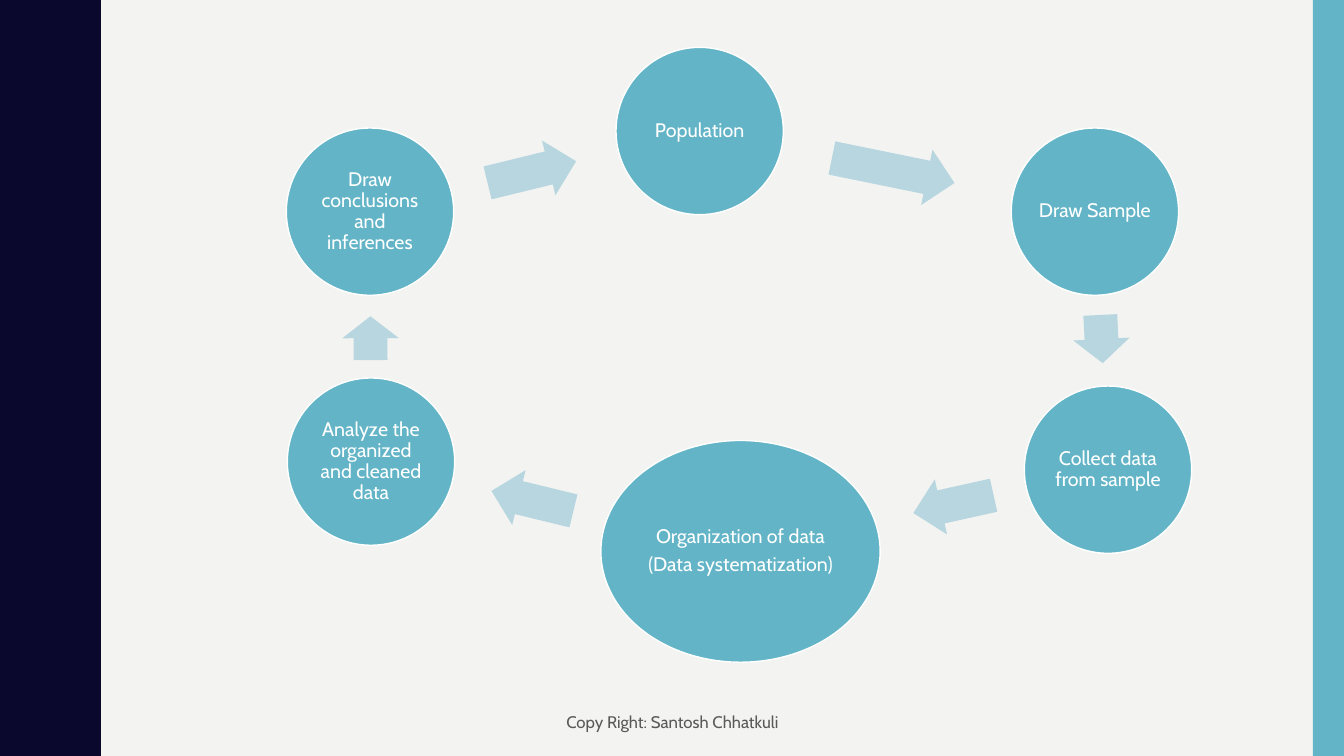
import math
from dataclasses import dataclass

import pptx
import pptx.util
from pptx.dml.color import RGBColor
from pptx.enum.shapes import MSO_SHAPE
from pptx.enum.text import MSO_ANCHOR, PP_ALIGN
from pptx.util import Inches


@dataclass(frozen=True)
class Theme:
    font: str = "Cabin"
    background: str = "F3F3F2"
    navy: str = "0B082E"
    teal: str = "62B4C6"
    pale_teal: str = "B7D6DF"
    white: str = "FFFFFF"
    grey: str = "595959"
    step_size: int = 14
    footer_size: int = 12


THEME = Theme()


def paint(shape, fill, line=None):
    shape.shadow.inherit = False
    shape.fill.solid()
    shape.fill.fore_color.rgb = RGBColor.from_string(fill)
    if line:
        shape.line.color.rgb = RGBColor.from_string(line)
        shape.line.width = pptx.util.Pt(1)
    else:
        shape.line.fill.background()


def write_centred(frame, lines, size, color):
    frame.word_wrap = True
    frame.vertical_anchor = MSO_ANCHOR.MIDDLE
    for index, line in enumerate(lines):
        paragraph = frame.paragraphs[0] if index == 0 else frame.add_paragraph()
        paragraph.alignment = PP_ALIGN.CENTER
        run = paragraph.add_run()
        run.text = line
        run.font.name = THEME.font
        run.font.size = pptx.util.Pt(size)
        run.font.color.rgb = RGBColor.from_string(color)


presentation = pptx.Presentation()
presentation.slide_width = Inches(13.33)
presentation.slide_height = Inches(7.5)
slide = presentation.slides.add_slide(presentation.slide_layouts[6])
slide.background.fill.solid()
slide.background.fill.fore_color.rgb = RGBColor.from_string(THEME.background)

# Wavy left edge: half a wave as (x, y), mirrored and repeated down the slide
WAVE_HEIGHT = 1.5
half_wave = [(0.78, 0), (0.78, 0.07), (0.79, 0.14), (0.8, 0.2), (0.81, 0.25),
             (0.83, 0.29), (0.85, 0.33), (0.87, 0.38), (0.89, 0.42), (0.91, 0.46),
             (0.93, 0.5), (0.95, 0.55), (0.96, 0.61), (0.97, 0.68), (0.97, 0.75)]
full_wave = half_wave + [(x, WAVE_HEIGHT - y) for x, y in reversed(half_wave[:-1])]
wave_edge = [(x, y + WAVE_HEIGHT * number) for number in range(5) for x, y in full_wave]
outline = slide.shapes.build_freeform(0, 0, scale=Inches(1))
outline.add_line_segments(wave_edge + [(0, 7.5)], close=True)
paint(outline.convert_to_shape(), THEME.navy)

right_band = slide.shapes.add_shape(
    MSO_SHAPE.RECTANGLE, Inches(13.02), 0, Inches(0.31), Inches(7.5))
paint(right_band, THEME.teal)

# Steps of the cycle, clockwise: left, top, width, height, lines
steps = [
    (6.11, 0.47, 1.66, 1.66, ["Population"]),
    (10.03, 1.27, 1.66, 1.66, ["Draw Sample"]),
    (10.16, 3.83, 1.66, 1.66, ["Collect data from sample"]),
    (5.96, 4.37, 2.77, 2.2, ["Organization of data", "(Data systematization)"]),
    (2.85, 3.75, 1.66, 1.66, ["Analyze the organized and cleaned data"]),
    (2.84, 1.27, 1.66, 1.66, ["Draw conclusions and inferences"]),
]
ARROW_HEIGHT = 0.56
ARROW_SHARE = 0.53    # arrow length as a share of the gap between two steps
ARROW_CENTRE = 0.482  # arrow centre as a share of the same gap

for step, following in zip(steps, steps[1:] + steps[:1]):
    left, top, width, height, lines = step
    circle = slide.shapes.add_shape(
        MSO_SHAPE.OVAL, Inches(left), Inches(top), Inches(width), Inches(height))
    paint(circle, THEME.teal, THEME.white)
    frame = circle.text_frame
    frame.margin_left = frame.margin_right = Inches(0.02)
    frame.margin_top = frame.margin_bottom = Inches(0.02)
    write_centred(frame, lines, THEME.step_size, THEME.white)
    for paragraph in frame.paragraphs:
        paragraph.line_spacing = 0.9
        paragraph.space_after = pptx.util.Pt(5)

    # The arrow lies on the line joining the two centres, between the two rims
    centre_x, centre_y = left + width / 2, top + height / 2
    run_x = following[0] + following[2] / 2 - centre_x
    run_y = following[1] + following[3] / 2 - centre_y
    angle = math.atan2(run_y, run_x)
    start_radius, end_radius = [
        w * h / 2 / math.hypot(h * math.cos(angle), w * math.sin(angle))
        for w, h in (step[2:4], following[2:4])]
    gap = math.hypot(run_x, run_y) - start_radius - end_radius
    reach = start_radius + ARROW_CENTRE * gap
    length = ARROW_SHARE * gap
    arrow = slide.shapes.add_shape(
        MSO_SHAPE.RIGHT_ARROW,
        Inches(centre_x + reach * math.cos(angle) - length / 2),
        Inches(centre_y + reach * math.sin(angle) - ARROW_HEIGHT / 2),
        Inches(length), Inches(ARROW_HEIGHT))
    arrow.rotation = math.degrees(angle) % 360
    arrow.adjustments[0] = 0.6
    arrow.adjustments[1] = 0.5
    paint(arrow, THEME.pale_teal)

copyright_line = slide.shapes.add_textbox(
    Inches(4.42), Inches(6.97), Inches(4.5), Inches(0.38))
write_centred(copyright_line.text_frame, ["Copy Right: Santosh Chhatkuli"],
              THEME.footer_size, THEME.grey)

presentation.save("out.pptx")
